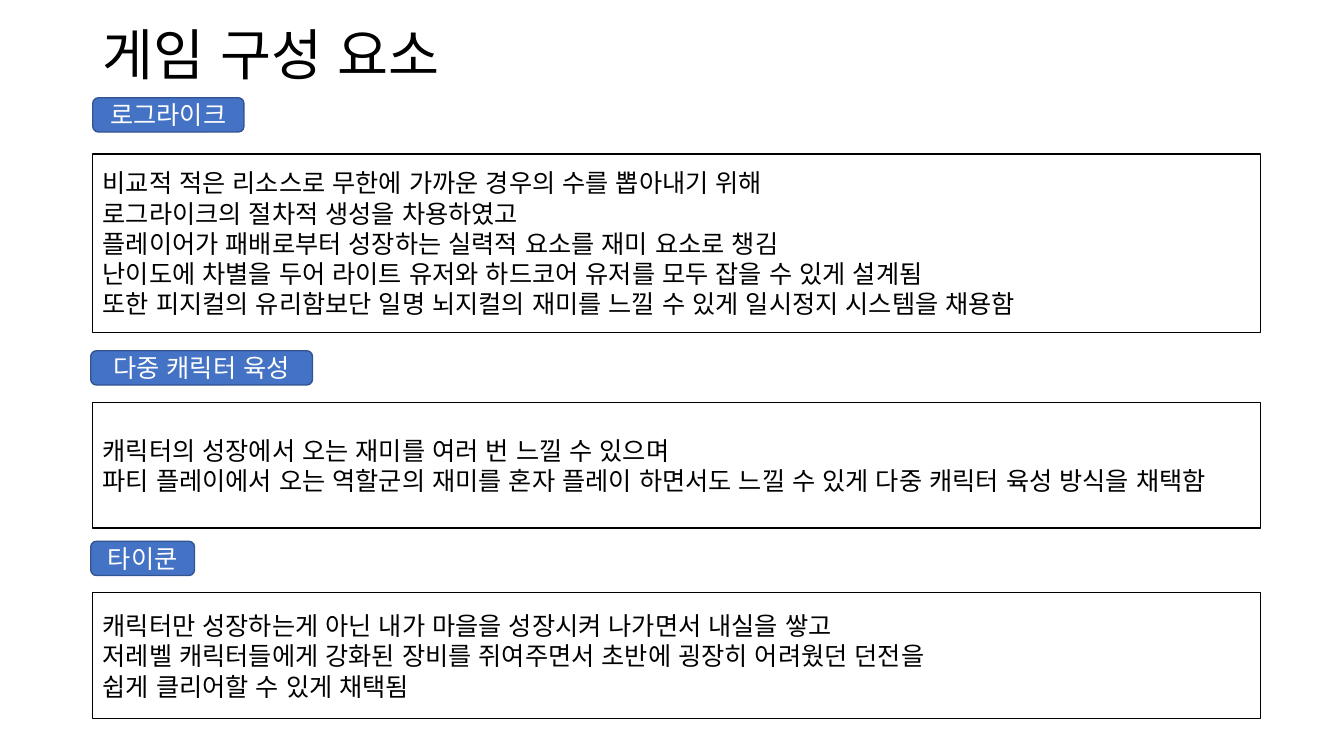
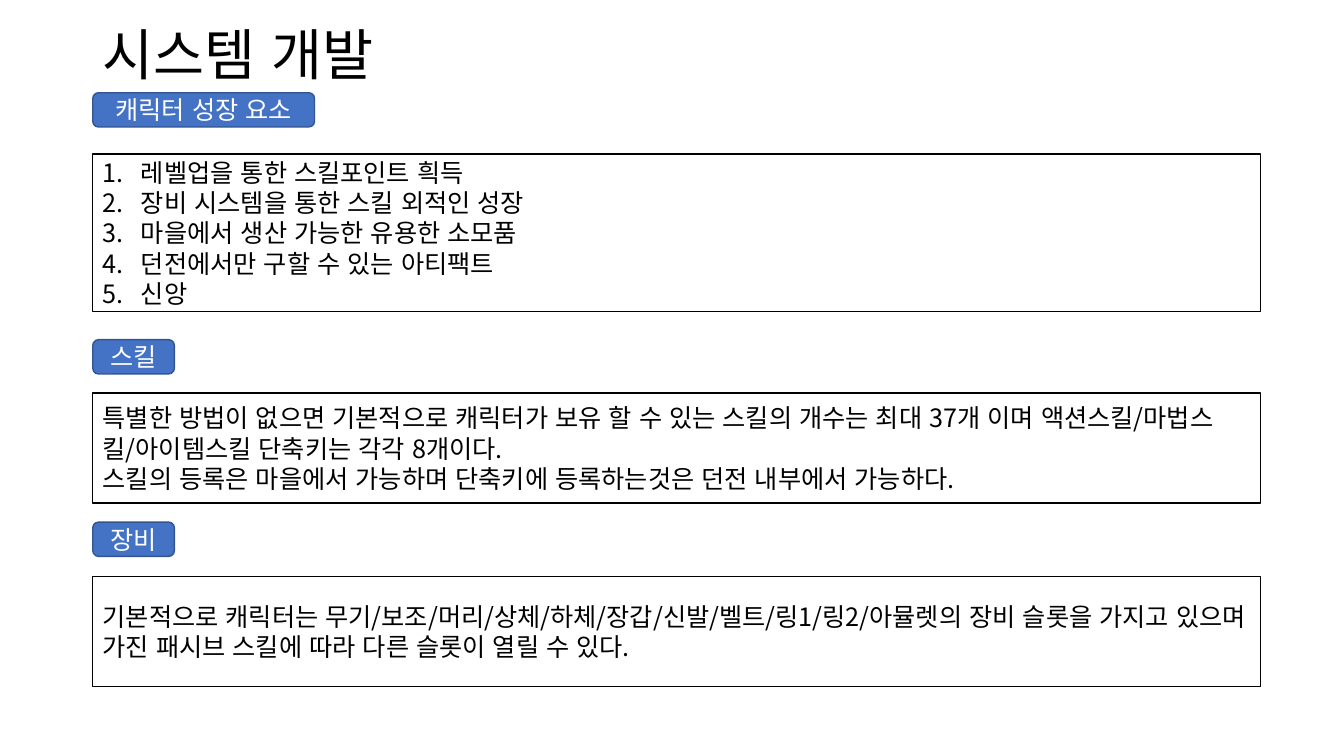
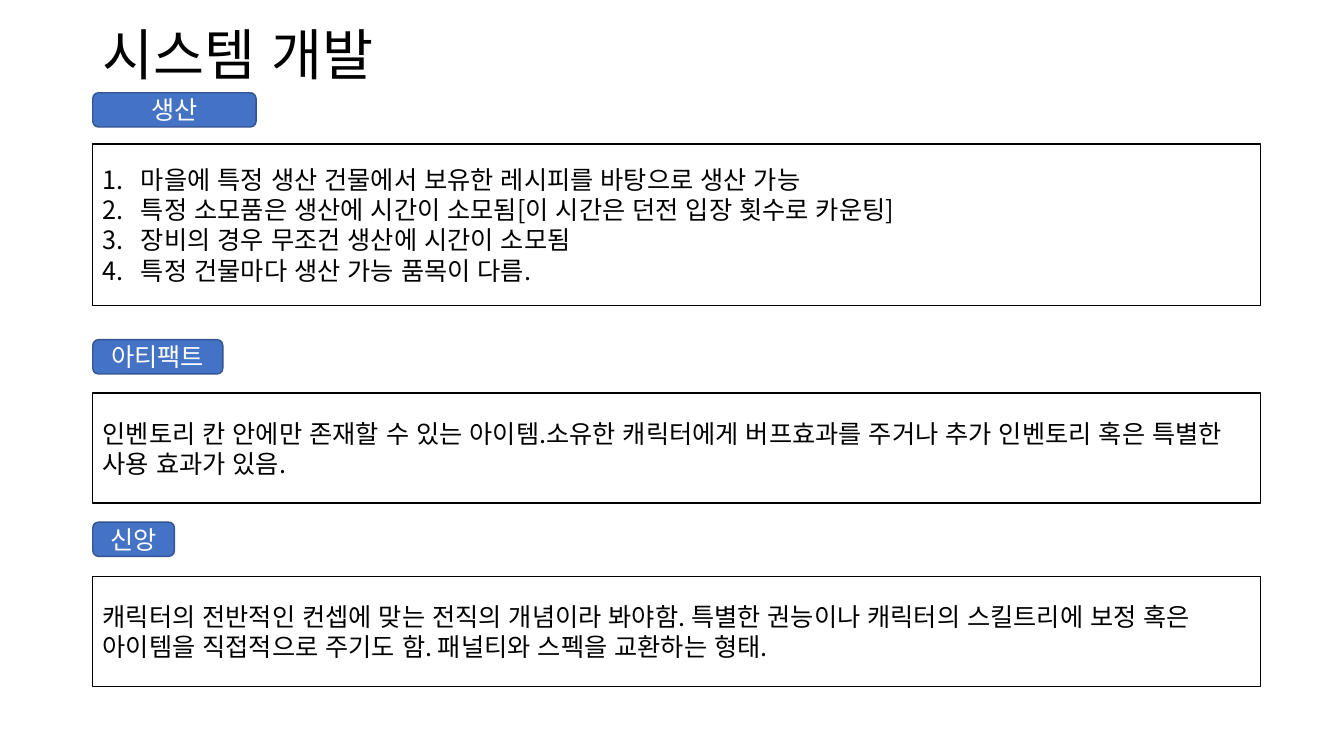
import pptx
import pptx.util
import pptx.dml.color
import pptx.enum.text
import pptx.enum.shapes
import pptx.enum.lang
import pptx.oxml.ns
import lxml.etree

Inches = pptx.util.Inches
Pt = pptx.util.Pt
align = pptx.enum.text.PP_ALIGN
kinds = pptx.enum.shapes.MSO_SHAPE
qn = pptx.oxml.ns.qn

face = "Noto Sans CJK KR"
left = 0.92
wide = 11.58
tall = 0.34
hang = Inches(0.38)

font = {"name": face, "language_id": pptx.enum.lang.MSO_LANGUAGE_ID.KOREAN}
frame = {
    "word_wrap": True,
    "auto_size": pptx.enum.text.MSO_AUTO_SIZE.NONE,
    "vertical_anchor": pptx.enum.text.MSO_ANCHOR.MIDDLE,
}
styles = {
    "title": {"size": 39.6, "color": "000000", "para": {"alignment": align.LEFT, "line_spacing": 0.9}},
    "label": {"size": 18, "color": "FFFFFF", "para": {"alignment": align.CENTER}},
    "body": {"size": 18, "color": "000000", "para": {"alignment": align.LEFT}},
}

decks = [
    ("게임 구성 요소", [
        ("로그라이크", left, 0.97, 1.5, 1.53, 1.77, False, [
            "비교적 적은 리소스로 무한에 가까운 경우의 수를 뽑아내기 위해",
            "로그라이크의 절차적 생성을 차용하였고",
            "플레이어가 패배로부터 성장하는 실력적 요소를 재미 요소로 챙김",
            "난이도에 차별을 두어 라이트 유저와 하드코어 유저를 모두 잡을 수 있게 설계됨",
            "또한 피지컬의 유리함보단 일명 뇌지컬의 재미를 느낄 수 있게 일시정지 시스템을 채용함",
        ]),
        ("다중 캐릭터 육성", 0.9, 3.48, 2.2, 3.99, 1.25, False, [
            "캐릭터의 성장에서 오는 재미를 여러 번 느낄 수 있으며",
            "파티 플레이에서 오는 역할군의 재미를 혼자 플레이 하면서도 느낄 수 있게 다중 캐릭터 육성 방식을 채택함",
        ]),
        ("타이쿤", 0.9, 5.37, 1.03, 5.88, 1.25, False, [
            "캐릭터만 성장하는게 아닌 내가 마을을 성장시켜 나가면서 내실을 쌓고",
            "저레벨 캐릭터들에게 강화된 장비를 쥐여주면서 초반에 굉장히 어려웠던 던전을",
            "쉽게 클리어할 수 있게 채택됨",
        ]),
    ]),
    ("시스템 개발", [
        ("캐릭터 성장 요소", left, 0.92, 2.2, 1.53, 1.56, True, [
            "레벨업을 통한 스킬포인트 흭득",
            "장비 시스템을 통한 스킬 외적인 성장",
            "마을에서 생산 가능한 유용한 소모품",
            "던전에서만 구할 수 있는 아티팩트",
            "신앙",
        ]),
        ("스킬", left, 3.37, 0.81, 3.9, 1.09, False, [
            "특별한 방법이 없으면 기본적으로 캐릭터가 보유 할 수 있는 스킬의 개수는 최대 37개 이며 액션스킬/마법스킬/아이템스킬 단축키는 각각 8개이다.",
            "스킬의 등록은 마을에서 가능하며 단축키에 등록하는것은 던전 내부에서 가능하다.",
        ]),
        ("장비", left, 5.18, 0.81, 5.72, 1.09, False, [
            "기본적으로 캐릭터는 무기/보조/머리/상체/하체/장갑/신발/벨트/링1/링2/아뮬렛의 장비 슬롯을 가지고 있으며 가진 패시브 스킬에 따라 다른 슬롯이 열릴 수 있다.",
        ]),
    ]),
    ("시스템 개발", [
        ("생산", left, 0.92, 1.62, 1.43, 1.6, True, [
            "마을에 특정 생산 건물에서 보유한 레시피를 바탕으로 생산 가능",
            "특정 소모품은 생산에 시간이 소모됨[이 시간은 던전 입장 횟수로 카운팅]",
            "장비의 경우 무조건 생산에 시간이 소모됨",
            "특정 건물마다 생산 가능 품목이 다름.",
        ]),
        ("아티팩트", left, 3.37, 1.29, 3.9, 1.09, False, [
            "인벤토리 칸 안에만 존재할 수 있는 아이템.소유한 캐릭터에게 버프효과를 주거나 추가 인벤토리 혹은 특별한 사용 효과가 있음.",
        ]),
        ("신앙", left, 5.18, 0.81, 5.72, 1.09, False, [
            "캐릭터의 전반적인 컨셉에 맞는 전직의 개념이라 봐야함. 특별한 권능이나 캐릭터의 스킬트리에 보정 혹은 아이템을 직접적으로 주기도 함. 패널티와 스펙을 교환하는 형태.",
        ]),
    ]),
]


def paint(form, code):
    form.rgb = pptx.dml.color.RGBColor.from_string(code)


def write(shape, lines, style, count=False):
    text = shape.text_frame
    for key, val in frame.items():
        setattr(text, key, val)
    for spot, line in enumerate(lines):
        para = text.add_paragraph() if spot else text.paragraphs[0]
        for key, val in style["para"].items():
            setattr(para, key, val)
        if count:
            props = para._p.get_or_add_pPr()
            props.set("marL", str(hang))
            props.set("indent", str(-hang))
            lxml.etree.SubElement(props, qn("a:buFont"), typeface="+mj-lt")
            lxml.etree.SubElement(props, qn("a:buAutoNum"), type="arabicPeriod")
        run = para.add_run()
        run.text = line
        for key, val in font.items():
            setattr(run.font, key, val)
        run.font.size = Pt(style["size"])
        paint(run.font.color, style["color"])
        lxml.etree.SubElement(run._r.get_or_add_rPr(), qn("a:ea"), typeface=face)


deck = pptx.Presentation()
deck.slide_width = Inches(13.33)
deck.slide_height = Inches(7.5)
base = deck.slide_layouts[5]
place = {"left": left, "top": 0.4, "width": 9.14, "height": 0.35}
for key, val in place.items():
    setattr(base.placeholders[0], key, Inches(val))

for title, parts in decks:
    slide = deck.slides.add_slide(base)
    write(slide.shapes.title, [title], styles["title"])
    for name, x, y, width, top, height, count, lines in parts:
        label = slide.shapes.add_shape(
            kinds.ROUNDED_RECTANGLE, Inches(x), Inches(y), Inches(width), Inches(tall))
        label.fill.solid()
        paint(label.fill.fore_color, "4472C4")
        box = slide.shapes.add_shape(
            kinds.RECTANGLE, Inches(left), Inches(top), Inches(wide), Inches(height))
        box.fill.background()
        for shape, edge in ((label, "325491"), (box, "000000")):
            shape.shadow.inherit = False
            shape.line.width = Pt(1)
            paint(shape.line.color, edge)
        write(label, [name], styles["label"])
        write(box, lines, styles["body"], count)

deck.save("out.pptx")
